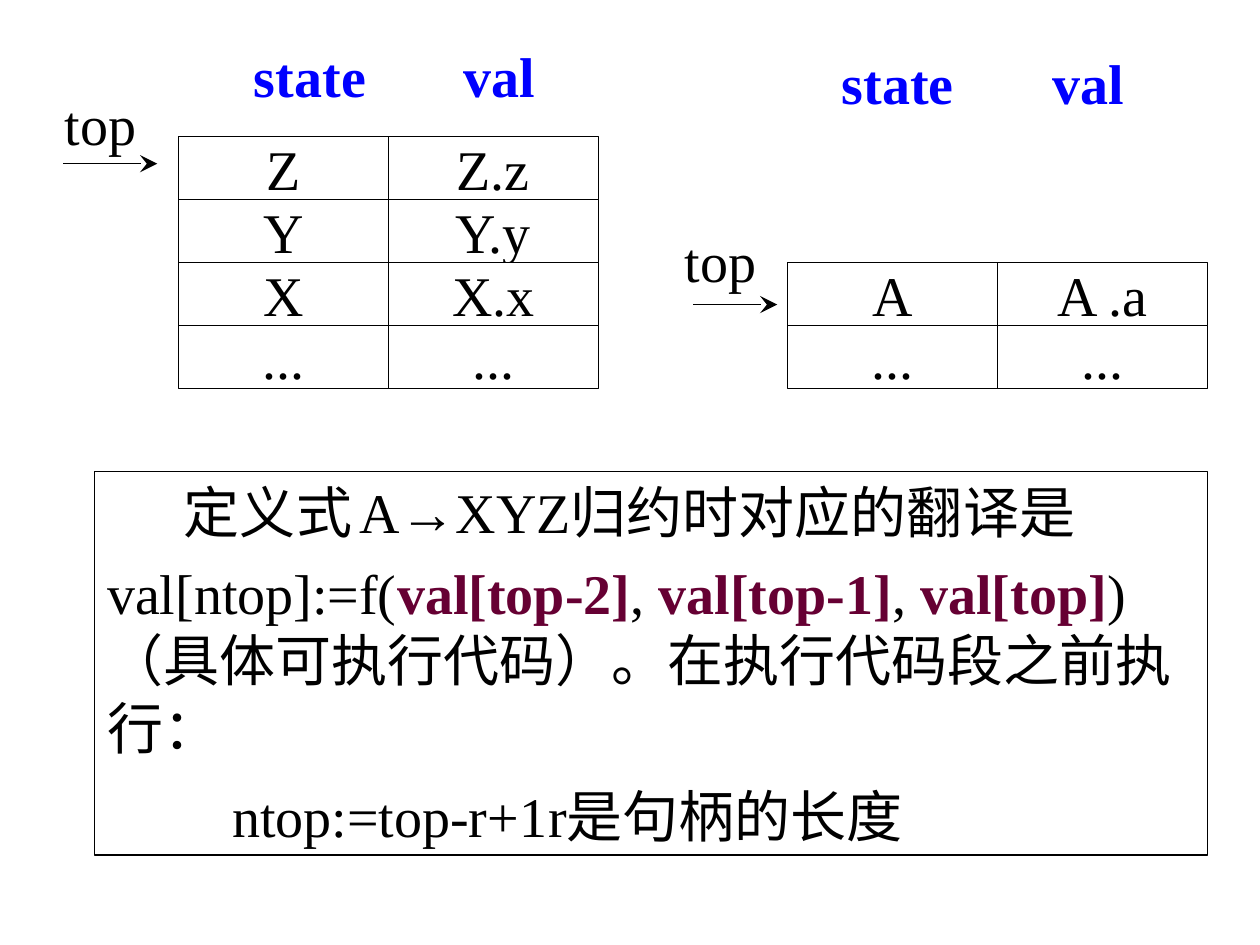
import pptx
import pptx.dml.color
import pptx.enum.shapes
import pptx.enum.text
import pptx.oxml
import pptx.oxml.ns
import pptx.util
from lxml import etree

Cm = pptx.util.Cm
Pt = pptx.util.Pt
MSO_SHAPE = pptx.enum.shapes.MSO_SHAPE
MSO_AUTO_SIZE = pptx.enum.text.MSO_AUTO_SIZE
qn = pptx.oxml.ns.qn


def color(value):
    return pptx.dml.color.RGBColor.from_string(value)


def add_run(paragraph, text, hex_color="000000", **formats):
    run = paragraph.add_run()
    run.text = text
    values = {"name": "Times New Roman", "size": Pt(32), "bold": False, **formats}
    for name, value in values.items():
        setattr(run.font, name, value)
    run.font.color.rgb = color(hex_color)


presentation = pptx.Presentation()
presentation.slide_width = Cm(25.4)
presentation.slide_height = Cm(19.05)
slide = presentation.slides.add_slide(presentation.slide_layouts[6])

# Column headings and stack pointer labels
labels = [
    ("top", 1.06, 1.69, 2.12),
    ("state", 4.87, 0.71, 2.96),
    ("val", 9.1, 0.71, 2.12),
    ("state", 16.72, 0.85, 3.18),
    ("val", 20.96, 0.85, 2.12),
    ("top", 13.55, 4.45, 2.12),
]
for text, left, top, width in labels:
    shape = slide.shapes.add_textbox(Cm(left), Cm(top), Cm(width), Cm(1.63))
    shape.text_frame.word_wrap = True
    shape.text_frame.auto_size = MSO_AUTO_SIZE.SHAPE_TO_FIT_TEXT
    heading = text != "top"
    add_run(shape.text_frame.paragraphs[0], text,
            "0000FF" if heading else "000000", bold=heading)

# Stacks before and after the reduction, resting on the same bottom
cell_width, cell_height, stack_bottom = 4.23, 1.27, 7.83
stacks = [
    (3.6, [("Z", "Z.z"), ("Y", "Y.y"), ("X", "X.x"), ("...", "...")]),
    (15.88, [("A", "A .a"), ("...", "...")]),
]
boxes = []
for left, rows in stacks:
    stack_top = stack_bottom - len(rows) * cell_height
    for row, texts in enumerate(rows):
        for column, text in enumerate(texts):
            shape = slide.shapes.add_shape(
                MSO_SHAPE.RECTANGLE,
                Cm(left + column * cell_width), Cm(stack_top + row * cell_height),
                Cm(cell_width), Cm(cell_height))
            boxes.append(shape)
            shape.text_frame.word_wrap = False
            shape.text_frame.vertical_anchor = pptx.enum.text.MSO_ANCHOR.MIDDLE
            paragraph = shape.text_frame.paragraphs[0]
            paragraph.alignment = pptx.enum.text.PP_ALIGN.CENTER
            add_run(paragraph, text)

# Explanation box
explanation = slide.shapes.add_shape(
    MSO_SHAPE.RECTANGLE, Cm(1.91), Cm(9.5), Cm(22.44), Cm(7.74))
boxes.append(explanation)
frame = explanation.text_frame
frame.word_wrap = True
frame.auto_size = MSO_AUTO_SIZE.SHAPE_TO_FIT_TEXT
frame.vertical_anchor = pptx.enum.text.MSO_ANCHOR.TOP

plain, accent = {}, {"hex_color": "660033", "bold": True}
# Each paragraph: space before, first-line indent, tab stop, runs
paragraphs = [
    (0, 1.55, 5.94, [("定义式\tA", plain), ("→", {"name": "Arial"}),
                     ("XYZ归约时对应的翻译是", plain)]),
    (8, 0, None, [("val[ntop]:=f(", plain), ("val[top-2]", accent), (", ", plain),
                  ("val[top-1]", accent), (", ", plain), ("val[top]", accent),
                  (")（具体可执行代码）。在执行代码段之前执行：", plain)]),
    (12, 2.52, 10.86, [("ntop:=top-r+1\tr是句柄的长度", plain)]),
]
for index, (space_before, indent, tab_stop, runs) in enumerate(paragraphs):
    paragraph = frame.paragraphs[0] if index == 0 else frame.add_paragraph()
    paragraph.alignment = pptx.enum.text.PP_ALIGN.LEFT
    paragraph.space_before = Pt(space_before)
    properties = paragraph._p.get_or_add_pPr()
    properties.set("marL", "0")
    properties.set("indent", str(Cm(indent)))
    if tab_stop:
        tabs = etree.SubElement(properties, qn("a:tabLst"))
        etree.SubElement(tabs, qn("a:tab"), pos=str(Cm(tab_stop)), algn="l")
    for text, formats in runs:
        add_run(paragraph, text, **formats)

# Common look of all boxes
for shape in boxes:
    shape.shadow.inherit = False
    shape.fill.solid()
    shape.fill.fore_color.rgb = color("FFFFFF")
    shape.line.color.rgb = color("000000")
    shape.line.width = Pt(0.75)

# Stack pointer arrows
for start, end, height in [(1.27, 3.17, 3.3), (13.97, 15.67, 6.14)]:
    arrow = slide.shapes.add_connector(
        pptx.enum.shapes.MSO_CONNECTOR.STRAIGHT,
        Cm(start), Cm(height), Cm(end), Cm(height))
    arrow.line.color.rgb = color("000000")
    arrow.line.width = Pt(0.75)
    etree.SubElement(arrow.line._get_or_add_ln(), qn("a:tailEnd"), type="stealth",
                     w="lg", len="lg")
    etree.SubElement(arrow._element.spPr, qn("a:effectLst"))

presentation.save("out.pptx")
